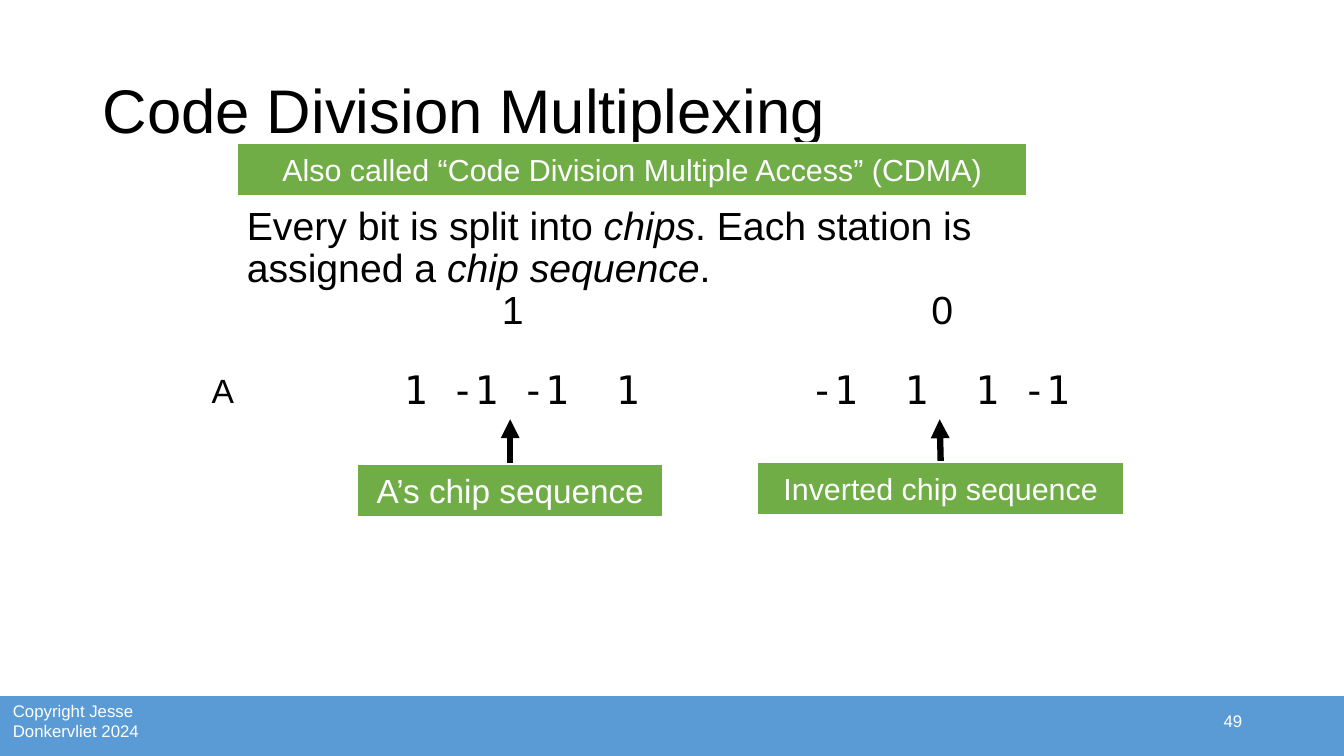
from dataclasses import dataclass

from lxml import etree
from pptx import Presentation
from pptx.dml.color import RGBColor
from pptx.enum.shapes import MSO_CONNECTOR, MSO_SHAPE
from pptx.enum.text import MSO_ANCHOR, PP_ALIGN
from pptx.oxml.ns import qn
from pptx.util import Inches, Pt

RECT = MSO_SHAPE.RECTANGLE
STRAIGHT = MSO_CONNECTOR.STRAIGHT
TOP, MIDDLE = MSO_ANCHOR.TOP, MSO_ANCHOR.MIDDLE
LEFT, CENTER, RIGHT = PP_ALIGN.LEFT, PP_ALIGN.CENTER, PP_ALIGN.RIGHT

COLORS = {"black": "000000", "white": "FFFFFF", "green": "70AD47", "blue": "5B9BD5"}
SANS, MONO = "Arial", "DejaVu Sans Mono"


@dataclass
class Text:
    """Words between asterisks are set in italics."""
    content: str
    left: float
    top: float
    width: float
    height: float
    size: float
    font: str = SANS
    color: str = "black"
    align: PP_ALIGN = LEFT
    anchor: MSO_ANCHOR = TOP
    spacing: float = 1.0


@dataclass
class Arrow:
    x1: float
    y1: float
    x2: float
    y2: float


def rgb(name: str) -> RGBColor:
    return RGBColor.from_string(COLORS[name])


def write(sp, text: Text) -> None:
    tf = sp.text_frame
    tf.word_wrap = True
    tf.vertical_anchor = text.anchor
    p = tf.paragraphs[0]
    p.alignment = text.align
    p.line_spacing = text.spacing
    p.font.name = text.font
    p.font.size = Pt(text.size)
    p.font.color.rgb = rgb(text.color)
    for i, part in enumerate(text.content.split("*")):
        r = p.add_run()
        r.text = part
        if i % 2:
            r.font.italic = True


def add_text(s, text: Text) -> None:
    box = map(Inches, (text.left, text.top, text.width, text.height))
    write(s.shapes.add_textbox(*box), text)


def add_bar(s, left: float, top: float, width: float, height: float, fill: str):
    sp = s.shapes.add_shape(RECT, *map(Inches, (left, top, width, height)))
    sp.shadow.inherit = False
    sp.fill.solid()
    sp.fill.fore_color.rgb = rgb(fill)
    sp.line.color.rgb = rgb("white")
    sp.line.width = Pt(1.5)
    return sp


def add_callout(s, text: Text) -> None:
    write(add_bar(s, text.left, text.top, text.width, text.height, "green"), text)


def add_arrow(s, arrow: Arrow) -> None:
    ends = map(Inches, (arrow.x1, arrow.y1, arrow.x2, arrow.y2))
    cxn = s.shapes.add_connector(STRAIGHT, *ends)
    cxn.line.color.rgb = rgb("black")
    cxn.line.width = Pt(4.5)
    etree.SubElement(cxn.line._get_or_add_ln(), qn("a:tailEnd"), type="triangle")
    etree.SubElement(cxn._element.spPr, qn("a:effectLst"))


TEXTS = [
    # Footer
    Text("Copyright Jesse Donkervliet 2024", 0.03, 6.92, 1.47, 0.47, 12,
         color="white", anchor=MIDDLE),
    Text("49", 9.42, 6.95, 3, 0.4, 12, color="white", align=RIGHT, anchor=MIDDLE),
    # Title and body
    Text("Code Division Multiplexing", 0.92, 0.4, 11.5, 1.45, 44,
         anchor=MIDDLE, spacing=0.9),
    Text("Every bit is split into *chips*. Each station is assigned a *chip sequence*.",
         2.35, 2, 8.29, 4.76, 28, spacing=0.9),
    # Bits, station and chip sequences
    Text("1", 4.88, 2.78, 0.36, 0.57, 28),
    Text("0", 9.14, 2.78, 0.36, 0.57, 28),
    Text("A", 1.92, 3.62, 0.58, 0.5, 24, align=CENTER),
    Text("1 -1 -1  1", 3.76, 3.58, 2.83, 0.57, 28, MONO, align=CENTER),
    Text("-1  1  1 -1", 7.91, 3.58, 2.83, 0.57, 28, MONO, align=CENTER),
]

CALLOUTS = [
    Text("Also called “Code Division Multiple Access” (CDMA)", 2.35, 1.42, 7.84, 0.53,
         21.7, color="white", align=CENTER, anchor=MIDDLE),
    Text("A’s chip sequence", 3.54, 4.6, 3.04, 0.53,
         23.8, color="white", align=CENTER, anchor=MIDDLE),
    Text("Inverted chip sequence", 7.51, 4.58, 3.64, 0.53,
         21.7, color="white", align=CENTER, anchor=MIDDLE),
]

ARROWS = [Arrow(5.06, 4.6, 5.06, 4.16), Arrow(9.33, 4.58, 9.32, 4.16)]


def main() -> None:
    prs = Presentation()
    prs.slide_width, prs.slide_height = Inches(13.33), Inches(7.5)
    s = prs.slides.add_slide(prs.slide_layouts[6])

    # Footer band, bleeding past the slide edges
    add_bar(s, -0.31, 6.89, 13.95, 0.81, "blue")

    for text in TEXTS:
        add_text(s, text)
    for arrow in ARROWS:
        add_arrow(s, arrow)
    for callout in CALLOUTS:
        add_callout(s, callout)

    prs.save("out.pptx")


if __name__ == "__main__":
    main()
